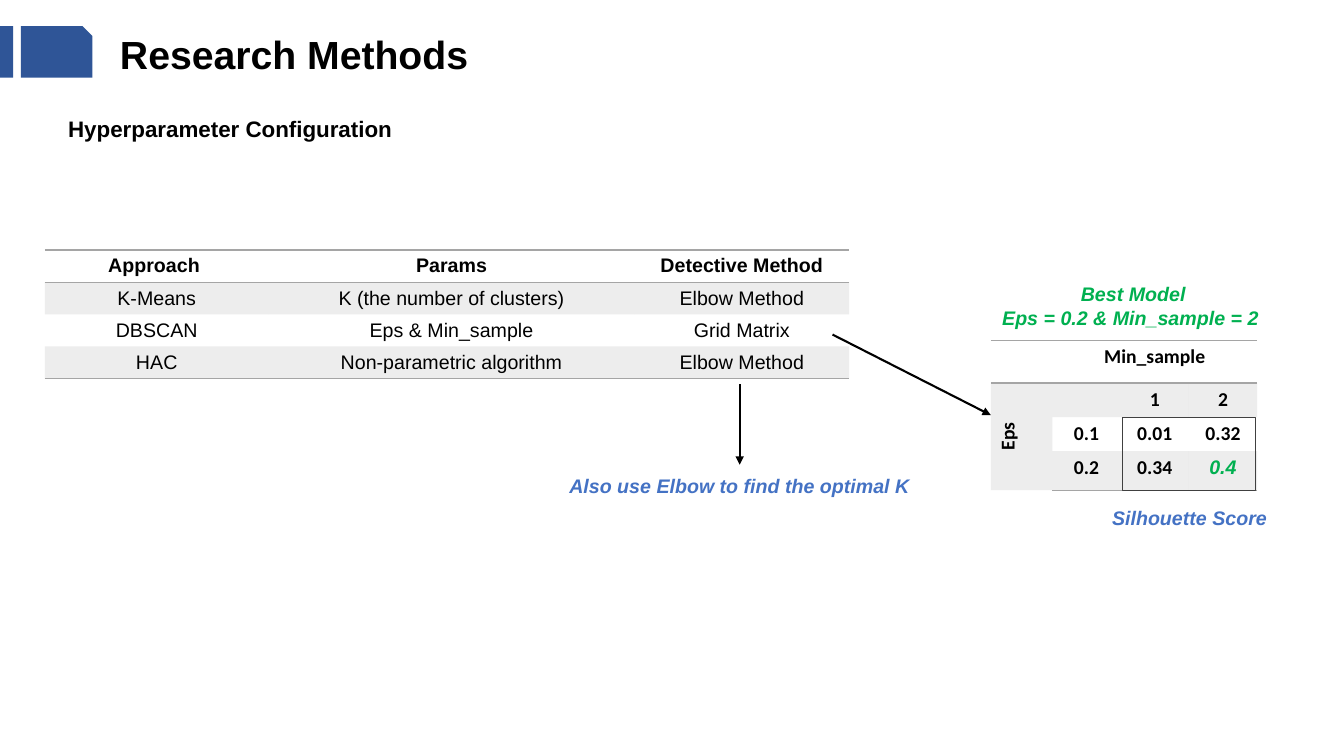
from lxml import etree
from pptx import Presentation
from pptx import util as u
from pptx.dml.color import RGBColor
from pptx.enum import shapes, text
from pptx.oxml.ns import qn

BLACK, BLUE, GREEN, GREY, NAVY, DARK = "000000", "4472C4", "00B050", "A5A5A5", "2F5597", "404040"
NO_STYLE = "{2D5ABB26-0587-4C30-8999-92F81FD0307C}"

TITLE = "Research Methods"
LABELS = [
    ("Hyperparameter Configuration", (1.1, 2.77, 9.4, 0.94), dict(size=16)),
    ("Also use Elbow to find the optimal K", (12.01, 11.81, 13.26, 0.86), dict(color=BLUE, italic=True)),
    ("Silhouette Score", (26.13, 12.62, 7.7, 0.86), dict(color=BLUE, italic=True)),
    ("Best Model\nEps = 0.2 & Min_sample = 2 ", (24.38, 6.99, 8.36, 1.45), dict(color=GREEN, italic=True)),
]
METHODS = [
    ("Approach ", "Params", "Detective Method"),
    ("K-Means", "K (the number of clusters)", "Elbow Method"),
    ("DBSCAN", "Eps & Min_sample", "Grid Matrix"),
    ("HAC", "Non-parametric algorithm", "Elbow Method"),
]
SCORES = [
    ("", "Min_sample", "", ""),
    ("Eps", "", "1", "2"),
    ("", "0.1", "0.01", "0.32"),
    ("", "0.2", "0.34", "0.4"),
]
ARROWS = [(20.98, 8.43, 24.97, 10.46), (18.64, 9.68, 18.64, 11.71)]
BADGES = [((0.53, 0.66, 1.8, 1.3), 0.193), ((0, 0.66, 0.33, 1.3), 0)]


def rgb(value):
    return RGBColor.from_string(value)


def box(values):
    return [u.Cm(v) for v in values]


def write(tf, words, size=14, font="Arial", color=BLACK, bold=True, italic=False,
          align=text.PP_ALIGN.CENTER):
    p = tf.paragraphs[0]
    p.text = words
    p.alignment = align
    for r in p.runs:
        f = r.font
        f.size, f.name, f.bold, f.italic = u.Pt(size), font, bold, italic
        f.color.rgb = rgb(color)
    if not words:
        etree.SubElement(p._p, qn("a:endParaRPr"), sz=str(size * 100))


def add_border(cell, side):
    ln = etree.SubElement(cell._tc.get_or_add_tcPr(), qn("a:ln" + side), w="12700")
    fill = etree.SubElement(ln, qn("a:solidFill"))
    etree.SubElement(fill, qn("a:srgbClr"), val=GREY)


def shade(cell, filled):
    if not filled:
        cell.fill.background()
        return
    cell.fill.solid()
    cell.fill.fore_color.rgb = rgb(GREY)
    clr = cell._tc.tcPr.find(".//" + qn("a:solidFill") + "[last()]/" + qn("a:srgbClr"))
    clr = cell._tc.tcPr.findall(qn("a:solidFill"))[-1][0]
    etree.SubElement(clr, qn("a:alpha"), val="20000")


def add_table(s, rows, left, top, widths, heights, formats):
    frame = s.shapes.add_table(len(rows), len(widths), *box((left, top, sum(widths), sum(heights))))
    table = frame.table
    table.first_row = table.horz_banding = False
    table._tbl.tblPr.find(qn("a:tableStyleId")).text = NO_STYLE
    for column, width in zip(table.columns, widths):
        column.width = u.Cm(width)
    for i, (row, height) in enumerate(zip(rows, heights)):
        table.rows[i].height = u.Cm(height)
        for j, words in enumerate(row):
            cell = table.cell(i, j)
            write(cell.text_frame, words, **formats(i, j))
            if i == 0:
                add_border(cell, "T")
            if i in (0, len(rows) - 1):
                add_border(cell, "B")
            shade(cell, i % 2 == 1)
    return table


def method_format(i, j):
    return dict(bold=i == 0)


def score_format(i, j):
    if (i, j) == (3, 3):
        return dict(color=GREEN, italic=True)
    return dict(font="Calibri")


def add_arrow(s, ends):
    c = s.shapes.add_connector(shapes.MSO_CONNECTOR.STRAIGHT, *box(ends))
    c.line.color.rgb = rgb(BLACK)
    c.line.width = u.Pt(1.5)
    etree.SubElement(c.line._get_or_add_ln(), qn("a:tailEnd"), type="triangle")
    etree.SubElement(c._element.spPr, qn("a:effectLst"))


def main():
    prs = Presentation()
    prs.slide_width, prs.slide_height = u.Cm(33.87), u.Cm(19.05)
    s = prs.slides.add_slide(prs.slide_layouts[5])

    title = s.shapes.title
    title.left, title.top, title.width, title.height = box((2.77, 0.64, 10.6, 1.45))
    write(title.text_frame, TITLE, size=28, align=text.PP_ALIGN.LEFT)

    methods = add_table(s, METHODS, 1.13, 6.3, (5.64, 9.22, 5.41), [0.81] * 4, method_format)
    for i in range(1, len(METHODS)):
        for cell in methods.rows[i].cells:
            cell.vertical_anchor = text.MSO_ANCHOR.MIDDLE

    scores = add_table(s, SCORES, 24.97, 8.57, (1.55, 1.72, 1.72, 1.72),
                       (1.08, 0.86, 0.86, 0.98), score_format)
    scores.cell(0, 1).merge(scores.cell(0, 3))
    eps = scores.cell(1, 0)
    eps.merge(scores.cell(3, 0))
    eps._tc.tcPr.set("vert", "vert270")
    add_border_cell = scores.cell(2, 0)
    shade(add_border_cell, True)

    for ends in ARROWS:
        add_arrow(s, ends)

    frame = s.shapes.add_shape(shapes.MSO_SHAPE.RECTANGLE, *box((28.3, 10.52, 3.35, 1.83)))
    frame.shadow.inherit = False
    frame.fill.background()
    frame.line.color.rgb = rgb(DARK)
    frame.line.width = u.Pt(0.75)

    for words, place, style in LABELS:
        tf = s.shapes.add_textbox(*box(place)).text_frame
        tf.word_wrap = True
        write(tf, words, **style)

    for place, snip in BADGES:
        sp = s.shapes.add_shape(shapes.MSO_SHAPE.SNIP_1_RECTANGLE, *box(place))
        sp.adjustments[0] = snip
        sp.shadow.inherit = False
        sp.fill.solid()
        sp.fill.fore_color.rgb = rgb(NAVY)
        sp.line.fill.background()

    prs.save("out.pptx")


if __name__ == "__main__":
    main()
